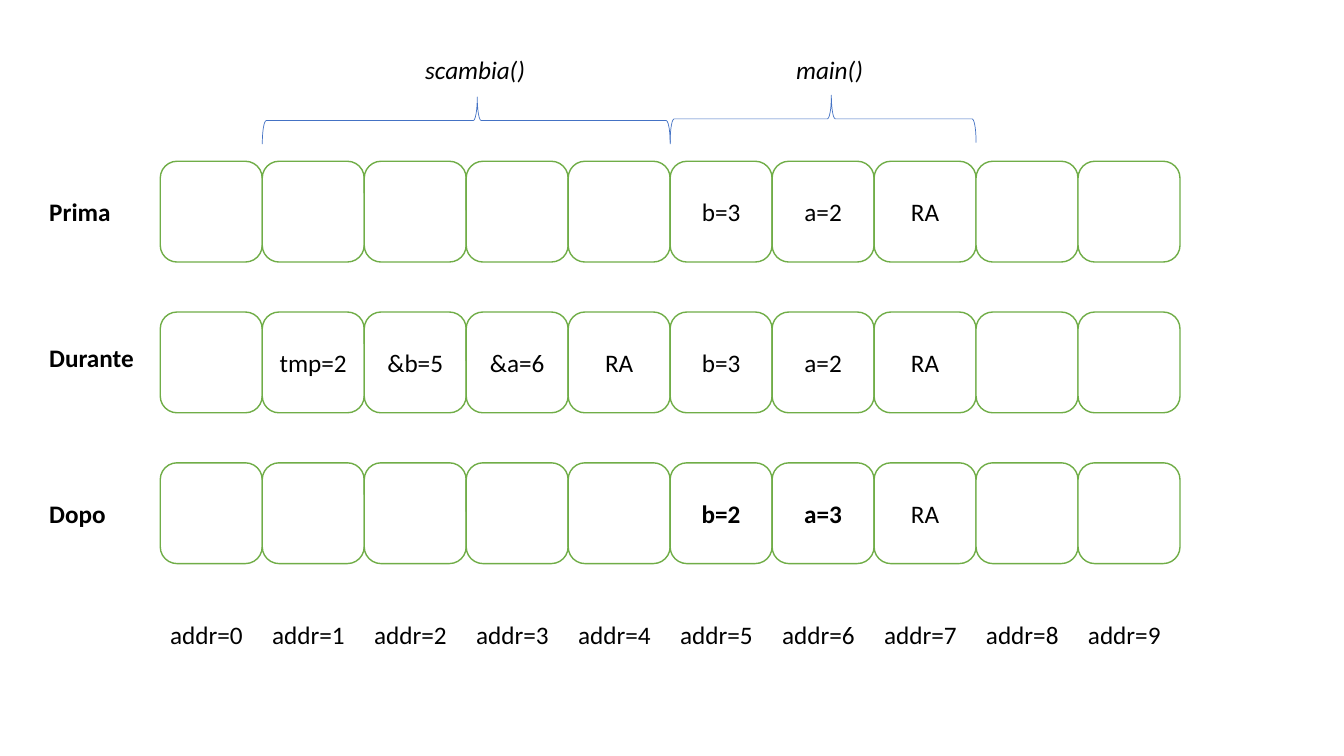
import pptx
import pptx.dml.color
import pptx.enum.shapes
import pptx.enum.text
import pptx.util

Pt = pptx.util.Pt
RGBColor = pptx.dml.color.RGBColor
MSO_SHAPE = pptx.enum.shapes.MSO_SHAPE
PP_ALIGN = pptx.enum.text.PP_ALIGN

BLACK = RGBColor(0x00, 0x00, 0x00)
WHITE = RGBColor(0xFF, 0xFF, 0xFF)
GREEN = RGBColor(0x70, 0xAD, 0x47)
BLUE = RGBColor(0x44, 0x72, 0xC4)

# Memory grid, in points
CELL_COUNT = 10
MEMORY_LEFT, MEMORY_TOP = 114.5, 115.2
CELL_WIDTH, CELL_HEIGHT = 72.84, 72
ROW_PITCH = 107.7
ADDRESS_TOP = 438.5


def cell_left(address):
    return MEMORY_LEFT + address * CELL_WIDTH


def write(frame, text, size=18, font="Calibri", color=BLACK,
          bold=False, italic=False, align=PP_ALIGN.LEFT):
    paragraph = frame.paragraphs[0]
    paragraph.alignment = align
    run = paragraph.add_run()
    run.text = text
    run.font.size = Pt(size)
    run.font.name = font
    run.font.color.rgb = color
    run.font.bold = bold
    run.font.italic = italic


class MemoryDiagram:
    """Holds the current slide and the look of its elements."""

    def __init__(self, slide):
        self.slide = slide
        self.cell_line = (GREEN, 1)
        self.brace_line = (BLUE, 0.5)

    def outline(self, kind, left, top, width, height, line):
        shape = self.slide.shapes.add_shape(
            kind, Pt(left), Pt(top), Pt(width), Pt(height))
        shape.shadow.inherit = False
        shape.line.color.rgb, shape.line.width = line[0], Pt(line[1])
        return shape

    def cell(self, left, top, text="", bold=False):
        cell = self.outline(MSO_SHAPE.ROUNDED_RECTANGLE, left, top,
                            CELL_WIDTH, CELL_HEIGHT, self.cell_line)
        cell.fill.solid()
        cell.fill.fore_color.rgb = WHITE
        if text:
            frame = cell.text_frame
            frame.margin_left = frame.margin_right = 0
            frame.vertical_anchor = pptx.enum.text.MSO_ANCHOR.MIDDLE
            write(frame, text, bold=bold, align=PP_ALIGN.CENTER)

    def brace(self, first, end, top, depth=33.8):
        """Brace lying above the cells from first up to end."""
        span = (end - first) * CELL_WIDTH
        left = cell_left(first) + (span - depth) / 2
        brace = self.outline(MSO_SHAPE.RIGHT_BRACE, left,
                             top + (depth - span) / 2, depth, span,
                             self.brace_line)
        brace.rotation = 270
        brace.fill.background()
        brace.adjustments[0] = 0.083
        brace.adjustments[1] = 0.527

    def label(self, text, left, top, width, **style):
        box = self.slide.shapes.add_textbox(
            Pt(left), Pt(top), Pt(width), Pt(29))
        box.text_frame.word_wrap = False
        box.text_frame.auto_size = pptx.enum.text.MSO_AUTO_SIZE.SHAPE_TO_FIT_TEXT
        write(box.text_frame, text, **style)


presentation = pptx.Presentation()
presentation.slide_width, presentation.slide_height = Pt(960), Pt(540)
diagram = MemoryDiagram(
    presentation.slides.add_slide(presentation.slide_layouts[6]))

# Memory state before, during and after the call:
# name, label top, label width, cell contents by address, changed addresses
main_frame = {5: "b=3", 6: "a=2", 7: "RA"}
scambia_frame = {1: "tmp=2", 2: "&b=5", 3: "&a=6", 4: "RA"}
states = [
    ("Prima", 136.8, 59, main_frame, ()),
    ("Durante", 241.2, 75.6, {**scambia_frame, **main_frame}, ()),
    ("Dopo", 352.4, 55.4, {5: "b=2", 6: "a=3", 7: "RA"}, (5, 6)),
]
for row, (state, label_top, label_width, contents, changed) in enumerate(states):
    diagram.label(state, 28.1, label_top, label_width, bold=True)
    for address in range(CELL_COUNT):
        diagram.cell(cell_left(address), MEMORY_TOP + row * ROW_PITCH,
                     contents.get(address, ""), bold=address in changed)

# Stack frames: name, first cell, end cell, brace top, label left and width
for function, first, end, brace_top, left, width in [
    ("scambia()", 1, 5, 69.2, 296.6, 85.7),
    ("main()", 5, 8, 68, 561.6, 62.6),
]:
    diagram.brace(first, end, brace_top)
    diagram.label(function, left, 35.3, width, italic=True)

# Addresses
for address in range(CELL_COUNT):
    diagram.label(f"addr={address}", cell_left(address), ADDRESS_TOP, 67)

presentation.save("out.pptx")
